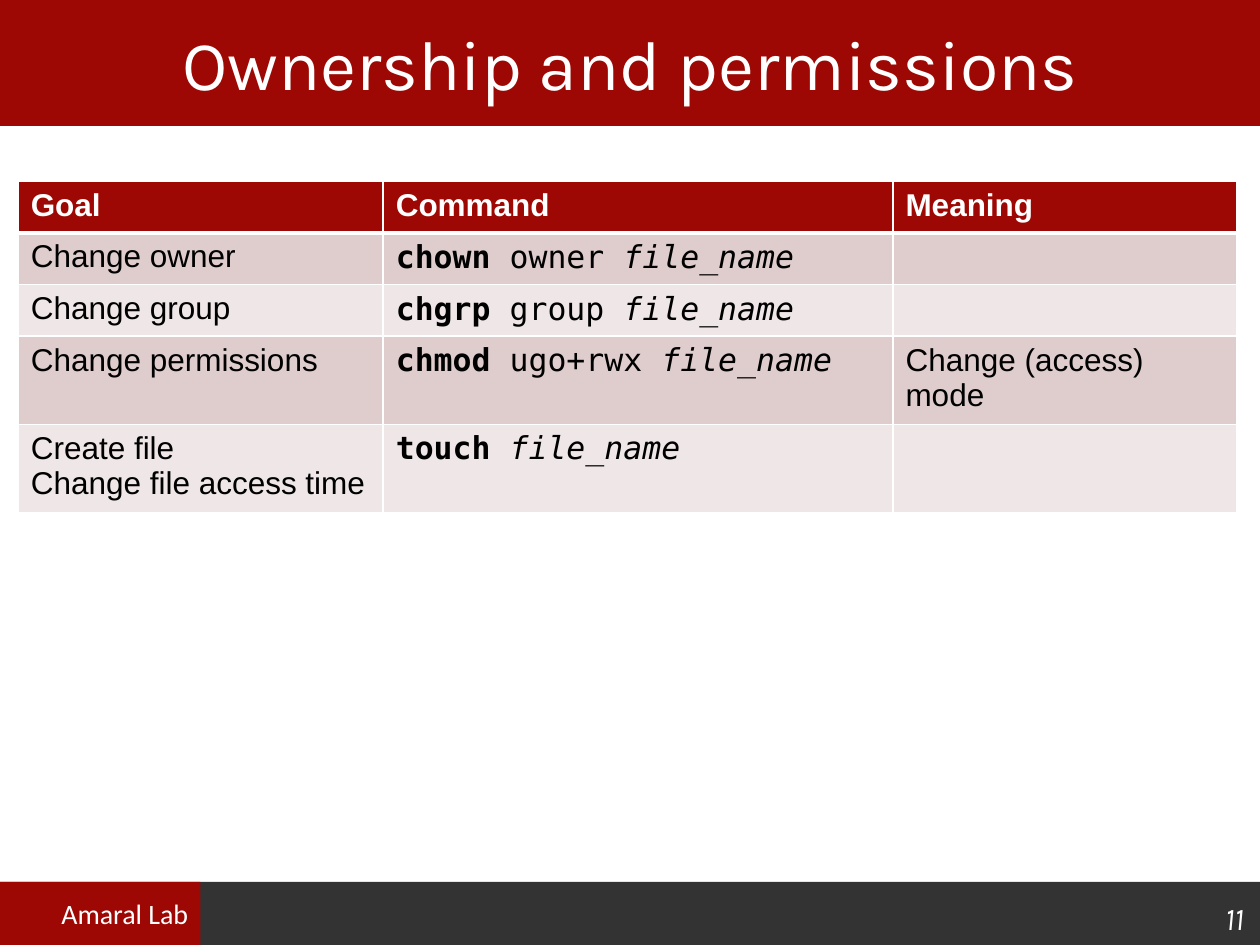
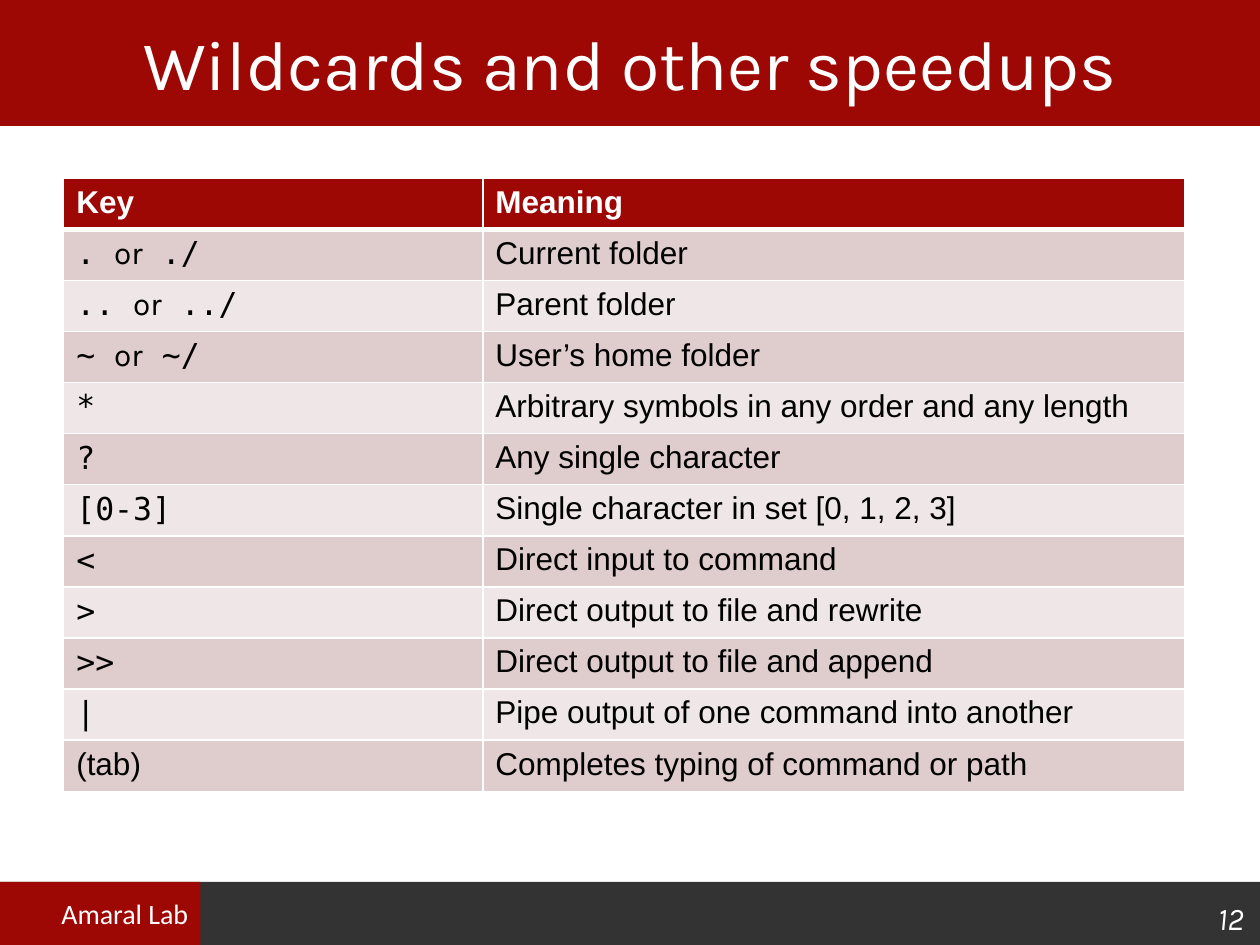
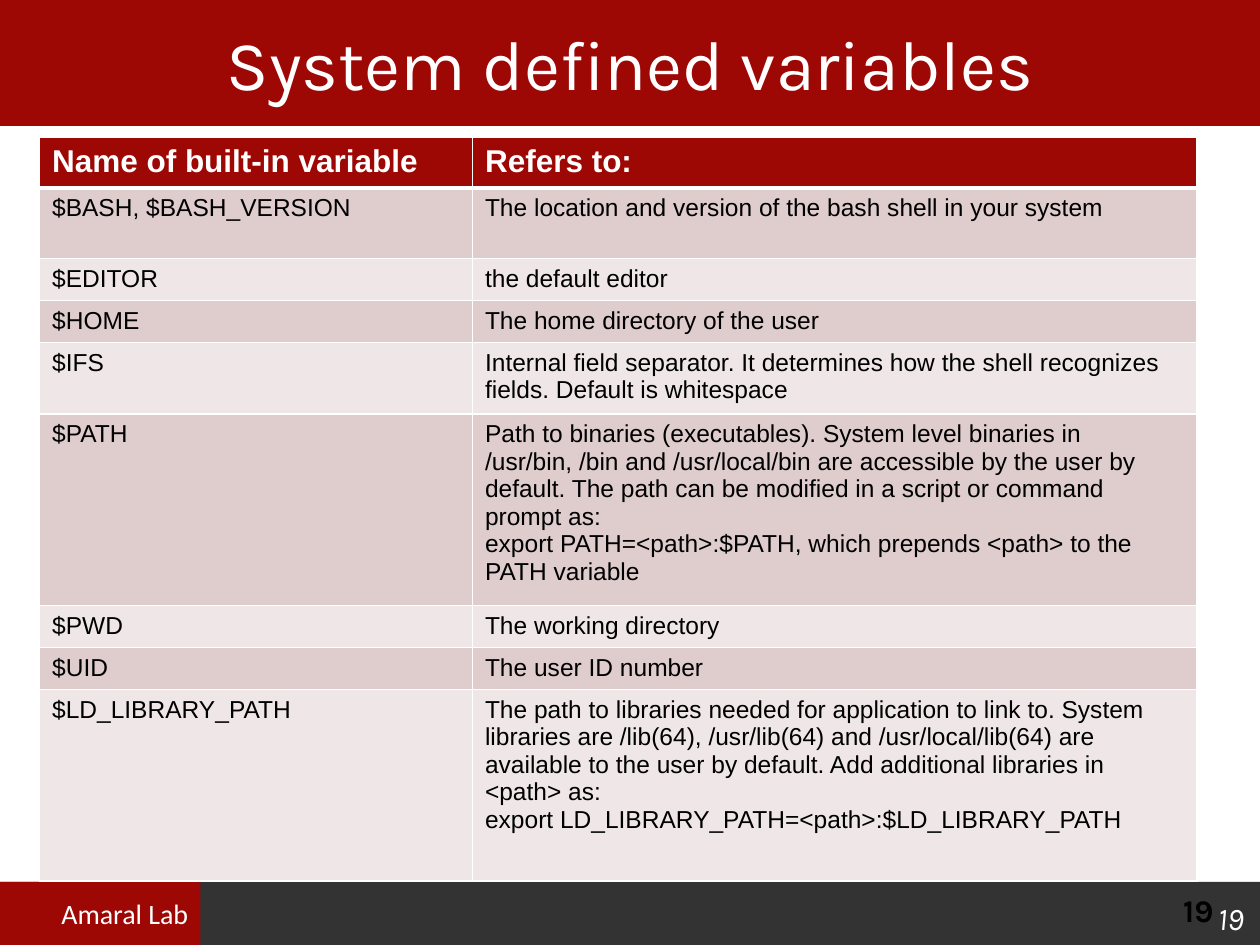
from lxml import etree
from pptx import Presentation
from pptx.dml.color import RGBColor
from pptx.enum.shapes import MSO_SHAPE
from pptx.enum.text import MSO_ANCHOR, MSO_AUTO_SIZE, PP_ALIGN
from pptx.oxml.ns import qn
from pptx.util import Pt

RECT = MSO_SHAPE.RECTANGLE
TOP, MIDDLE, BOTTOM = MSO_ANCHOR.TOP, MSO_ANCHOR.MIDDLE, MSO_ANCHOR.BOTTOM
LEFT, CENTER, RIGHT = PP_ALIGN.LEFT, PP_ALIGN.CENTER, PP_ALIGN.RIGHT
NO_FIT = MSO_AUTO_SIZE.NONE

RED = RGBColor(0x9D, 0x08, 0x04)
GREY = RGBColor(0x33, 0x33, 0x33)
WHITE = RGBColor(0xFF, 0xFF, 0xFF)
BLACK = RGBColor(0, 0, 0)
BAND_DARK = RGBColor(0xDF, 0xCC, 0xCC)
BAND_LIGHT = RGBColor(0xEF, 0xE7, 0xE7)
SANS, MONO, BRAND, LABEL = "Arial", "DejaVu Sans Mono", "Karla", "Calibri"

WIDTH, HEIGHT = 720, 540
TITLE_BOX = (0, 0, WIDTH, 72)
FOOTER_BOX = (0, 504, WIDTH, 36)
TITLE_ONLY = 5
ROW = 29.5


def style(font, name, size, color, bold=False, italic=False):
    font.name, font.size = name, Pt(size)
    font.color.rgb = color
    font.bold, font.italic = bold, italic


def add_band(s, box, color):
    band = s.shapes.add_shape(RECT, *map(Pt, box))
    band.shadow.inherit = False
    band.fill.solid()
    band.fill.fore_color.rgb = color
    band.line.fill.background()
    return band


def add_text(s, box, text, align, anchor, wrap, **look):
    tf = s.shapes.add_textbox(*map(Pt, box)).text_frame
    tf.word_wrap, tf.vertical_anchor = wrap, anchor
    tf.text = text
    p = tf.paragraphs[0]
    p.alignment = align
    style(p.runs[0].font, **look)


def add_title(s, box, text):
    title = s.shapes.title
    title.left, title.top, title.width, title.height = map(Pt, box)
    title.element.addprevious(add_band(s, box, RED).element)
    tf = title.text_frame
    tf.text = text
    tf.auto_size, tf.vertical_anchor = NO_FIT, MIDDLE
    p = tf.paragraphs[0]
    p.alignment = CENTER
    style(p.runs[0].font, BRAND, 40, WHITE)


def add_footer(s, box, number):
    x, y, w, h = box
    add_band(s, box, GREY)
    add_band(s, (x, y, 114.5, h), RED)
    add_text(s, (x + 28, y + 4.5, 87, 26.6), "Amaral Lab", LEFT, TOP, False,
             name=LABEL, size=16, color=WHITE)
    add_text(s, (x + w - 68.4, y + 5.8, 66.2, 28.8), number, RIGHT, BOTTOM, True,
             name=BRAND, size=18, color=WHITE, italic=True)


def add_slide(prs, title, number):
    s = prs.slides.add_slide(prs.slide_layouts[TITLE_ONLY])
    add_title(s, TITLE_BOX, title)
    add_footer(s, FOOTER_BOX, number)
    return s


def set_borders(cell, top, bottom):
    tcPr = cell._tc.get_or_add_tcPr()
    sides = (("a:lnL", 1), ("a:lnR", 1), ("a:lnT", top), ("a:lnB", bottom))
    for i, (tag, width) in enumerate(sides):
        ln = etree.Element(qn(tag), w=str(Pt(width)))
        fill = etree.SubElement(ln, qn("a:solidFill"))
        etree.SubElement(fill, qn("a:srgbClr"), val=str(WHITE))
        tcPr.insert(i, ln)


def fill_cell(cell, content, size, color, bold):
    tf = cell.text_frame
    if isinstance(content, str):
        tf.text = content
        for p in tf.paragraphs:
            for r in p.runs:
                style(r.font, SANS, size, color, bold)
        return
    for text, name, run_bold, italic in content:
        r = tf.paragraphs[0].add_run()
        r.text = text
        style(r.font, name, size, color, run_bold, italic)


def add_grid(s, left, top, widths, heights, rows, size):
    frame = s.shapes.add_table(len(rows), len(widths), Pt(left), Pt(top),
                               Pt(sum(widths)), Pt(sum(heights)))
    table = frame.table
    for column, width in zip(table.columns, widths):
        column.width = Pt(width)
    for i, (row, height) in enumerate(zip(rows, heights)):
        table.rows[i].height = Pt(height)
        header = i == 0
        band = RED if header else BAND_DARK if i % 2 else BAND_LIGHT
        for j, content in enumerate(row):
            cell = table.cell(i, j)
            cell.fill.solid()
            cell.fill.fore_color.rgb = band
            set_borders(cell, 3 if i == 1 else 1, 3 if header else 1)
            fill_cell(cell, content, 18 if header else size,
                      WHITE if header else BLACK, header)


def command(name, argument=""):
    runs = [(name + " ", MONO, True, False)]
    if argument:
        runs.append((argument + " ", MONO, False, False))
    return runs + [("file_name", MONO, False, True)]


def key(first, second=""):
    if not second:
        return [(first, MONO, False, False)]
    return [(first + " ", MONO, False, False), ("or", BRAND, False, False),
            (" " + second, MONO, False, False)]


def permissions_slide(prs):
    s = add_slide(prs, "Ownership and permissions", "11")
    rows = [
        ("Goal", "Command", "Meaning"),
        ("Change owner", command("chown", "owner"), ""),
        ("Change group", command("chgrp", "group"), ""),
        ("Change permissions", command("chmod", "ugo+rwx"), "Change (access) mode"),
        ("Create file\nChange file access time", command("touch"), ""),
    ]
    add_grid(s, 10.4, 103.7, (208.6, 291.3, 196.3), [ROW] * len(rows), rows, 18)


def wildcards_slide(prs):
    s = add_slide(prs, "Wildcards and other speedups", "12")
    rows = [
        ("Key", "Meaning"),
        (key(".", "./"), "Current folder"),
        (key("..", "../"), "Parent folder"),
        (key("~", "~/"), "User’s home folder"),
        (key("*"), "Arbitrary symbols in any order and any length"),
        (key("?"), "Any single character"),
        (key("[0-3]"), "Single character in set [0, 1, 2, 3]"),
        (key("<"), "Direct input to command"),
        (key(">"), "Direct output to file and rewrite"),
        (key(">>"), "Direct output to file and append"),
        (key("|"), "Pipe output of one command into another"),
        ("(tab)", "Completes typing of command or path"),
    ]
    add_grid(s, 36.4, 101.8, (239.5, 401), [ROW - 0.3] * len(rows), rows, 18)


def variables_slide(prs):
    s = add_slide(prs, "System defined variables", "19")
    add_text(s, (669, 505.5, 51, 34.5), "19", LEFT, TOP, True,
             name=BRAND, size=18, color=BLACK, bold=True)
    rows = [
        ("Name of built-in variable", "Refers to:"),
        ("$BASH, $BASH_VERSION",
         "The location and version of the bash shell in your system"),
        ("$EDITOR", "the default editor"),
        ("$HOME", "The home directory of the user"),
        ("$IFS", "Internal field separator. It determines how the shell recognizes "
                 "fields. Default is whitespace"),
        ("$PATH", "Path to binaries (executables). System level binaries in /usr/bin, "
                  "/bin and /usr/local/bin are accessible by the user by default. "
                  "The path can be modified in a script or command prompt as:\v"
                  "export PATH=<path>:$PATH, which prepends <path> to the PATH variable"),
        ("$PWD", "The working directory"),
        ("$UID", "The user ID number"),
        ("$LD_LIBRARY_PATH",
         "The path to libraries needed for application to link to. System libraries "
         "are /lib(64), /usr/lib(64) and /usr/local/lib(64) are available to the user "
         "by default. Add additional libraries in <path> as:\n"
         "export LD_LIBRARY_PATH=<path>:$LD_LIBRARY_PATH"),
    ]
    low, mid, high = 23.2, 40.3, 109.4
    heights = (low, mid, low, low, mid, high, low, low, high)
    add_grid(s, 22.6, 78.6, (247.4, 414), heights, rows, 14)


def main():
    prs = Presentation()
    prs.slide_width, prs.slide_height = Pt(WIDTH), Pt(HEIGHT)
    permissions_slide(prs)
    wildcards_slide(prs)
    variables_slide(prs)
    prs.save("out.pptx")


if __name__ == "__main__":
    main()
